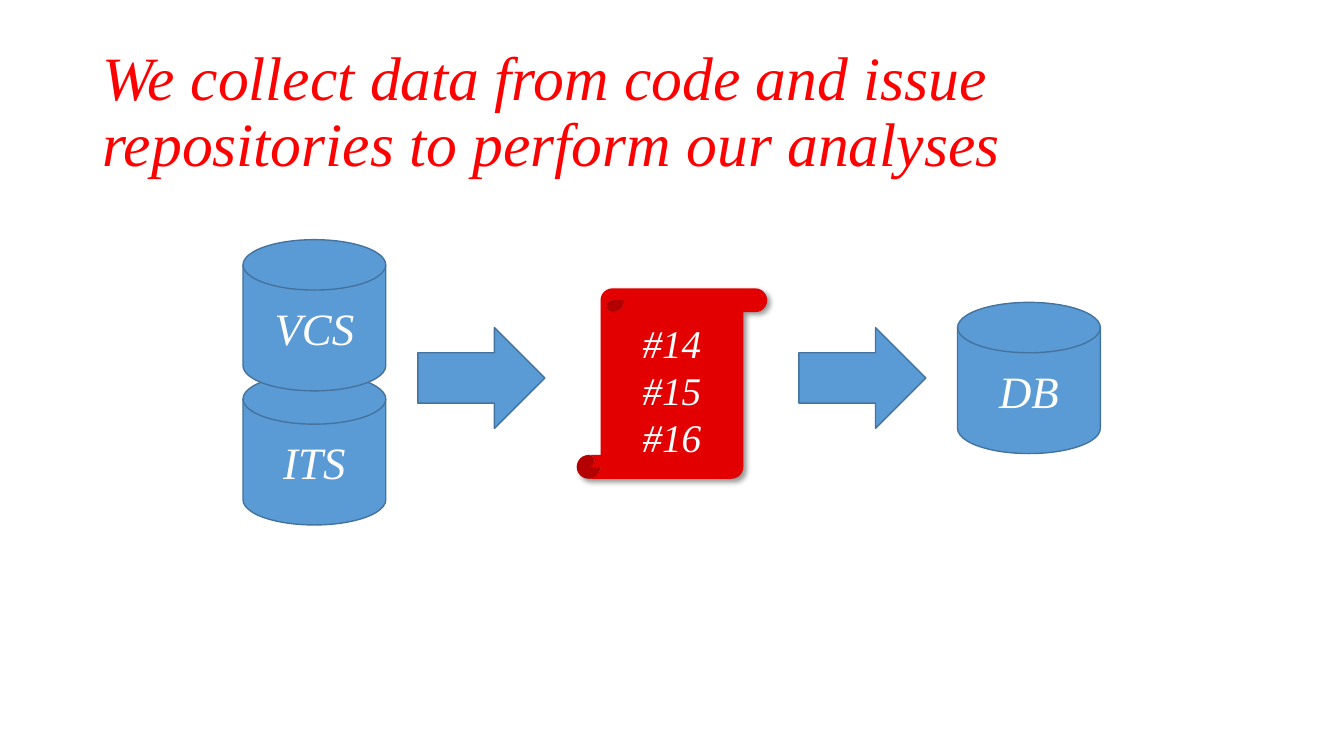
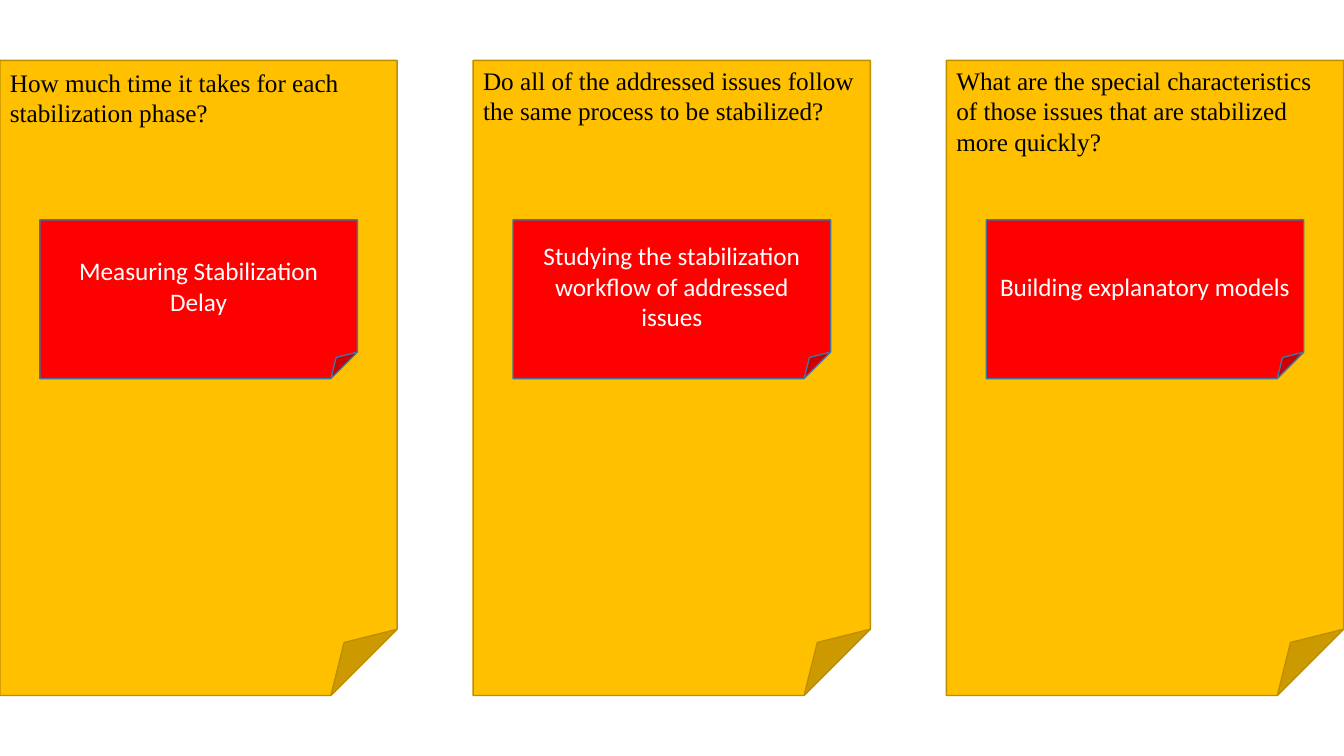
from lxml.etree import SubElement
from pptx import Presentation
from pptx.dml.color import RGBColor
from pptx.enum.shapes import MSO_SHAPE
from pptx.enum.text import MSO_ANCHOR, PP_ALIGN
from pptx.oxml.ns import qn
from pptx.util import Pt

SERIF, SANS = "Times New Roman", "Calibri"
RED, WHITE, BLACK = "FF0000", "FFFFFF", "000000"
BLUE, BLUE_EDGE = "5B9BD5", "43739E"
SCROLL_RED = "E20000"
GOLD, GOLD_EDGE = "FFC000", "BD8E00"

COLUMN_PITCH, COLUMN_WIDTH = 338, 283.7
NOTE_WIDTH = 226.8
COLUMNS = [
    ("How much time it takes for each stabilization phase?", 44.7,
     "Measuring Stabilization Delay"),
    ("Do all of the addressed issues follow the same process to be stabilized?", 43.2,
     "Studying the stabilization workflow of addressed issues"),
    ("What are the special characteristics of those issues that are stabilized more quickly?",
     43.2, "Building explanatory models"),
]


def rgb(value):
    """Turn a hex string into a colour."""
    return RGBColor.from_string(value)


def write(frame, lines, size, font, color, italic=False, align=PP_ALIGN.LEFT,
          anchor=MSO_ANCHOR.TOP, spacing=None):
    """Fill a text frame with evenly styled paragraphs."""
    frame.word_wrap = True
    frame.vertical_anchor = anchor
    frame.text = "\n".join(lines)
    for paragraph in frame.paragraphs:
        paragraph.alignment = align
        paragraph.line_spacing = spacing
        paragraph.font.size = Pt(size)
        paragraph.font.name = font
        paragraph.font.italic = italic
        paragraph.font.color.rgb = rgb(color)


def add_text(slide, box, text, size, color, **style):
    """Add a serif text box."""
    frame = slide.shapes.add_textbox(*map(Pt, box)).text_frame
    write(frame, [text], size, SERIF, color, **style)


def add_figure(slide, preset, box, fill, edge=None):
    """Add a flat preset shape, outlined if an edge colour is given."""
    figure = slide.shapes.add_shape(preset, *map(Pt, box))
    figure.shadow.inherit = False
    figure.fill.solid()
    figure.fill.fore_color.rgb = rgb(fill)
    if edge:
        figure.line.color.rgb = rgb(edge)
        figure.line.width = Pt(1)
    else:
        figure.line.fill.background()
    return figure


def label(figure, lines, size, font, italic=False):
    """Write centred white text in a shape."""
    write(figure.text_frame, lines, size, font, WHITE, italic,
          PP_ALIGN.CENTER, MSO_ANCHOR.MIDDLE)


def add_store(slide, left, top, name):
    """Add a cylinder that stands for a data store."""
    store = add_figure(slide, MSO_SHAPE.FLOWCHART_MAGNETIC_DISK,
                       (left, top, 102, 108), BLUE, BLUE_EDGE)
    label(store, [name], 32, SERIF, italic=True)


def add_step_arrow(slide, left):
    """Add a block arrow between two stages."""
    add_figure(slide, MSO_SHAPE.RIGHT_ARROW, (left, 234, 90.7, 72), BLUE, BLUE_EDGE)


def cast_shadow(figure):
    """Give a shape a soft shadow towards the lower right."""
    effects = figure._element.spPr.find(qn("a:effectLst"))
    shadow = SubElement(effects, qn("a:outerShdw"), blurRad=str(Pt(4)),
                        dist=str(Pt(3)), dir=str(45 * 60000), algn="tl", rotWithShape="0")
    tint = SubElement(shadow, qn("a:srgbClr"), val=BLACK)
    SubElement(tint, qn("a:alpha"), val="40000")


def add_issue_scroll(slide):
    """Add the scroll that lists the issue numbers."""
    scroll = add_figure(slide, MSO_SHAPE.VERTICAL_SCROLL, (412, 206, 136, 136), SCROLL_RED)
    cast_shadow(scroll)
    label(scroll, ["#14", "#15", "#16"], 28, SERIF, italic=True)


def build_collection(slide):
    """Show the way from the repositories to the database."""
    add_text(slide, (66, 28.75, 828, 104.4),
             "We collect data from code and issue repositories to perform our analyses",
             44, RED, italic=True, anchor=MSO_ANCHOR.MIDDLE, spacing=0.9)
    add_store(slide, 173.6, 267, "ITS")
    add_store(slide, 173.6, 171.2, "VCS")
    add_step_arrow(slide, 298.5)
    add_issue_scroll(slide)
    add_step_arrow(slide, 570.7)
    add_store(slide, 684, 216, "DB")


def add_column(slide, left, question, question_top, answer):
    """Add a gold sheet with a question and a red note with its answer."""
    add_figure(slide, MSO_SHAPE.FOLDED_CORNER, (left, 43.2, COLUMN_WIDTH, 453.6),
               GOLD, GOLD_EDGE)
    add_text(slide, (left, question_top, COLUMN_WIDTH, 51), question, 18, BLACK)
    note_left = left + (COLUMN_WIDTH - NOTE_WIDTH) / 2
    note = add_figure(slide, MSO_SHAPE.FOLDED_CORNER,
                      (note_left, 157, NOTE_WIDTH, 113.4), RED, BLUE_EDGE)
    label(note, [answer], 18, SANS)


def build_questions(slide):
    """Set the research questions side by side."""
    for index, column in enumerate(COLUMNS):
        add_column(slide, index * COLUMN_PITCH, *column)


def main():
    """Build and save the presentation."""
    deck = Presentation()
    deck.slide_width, deck.slide_height = Pt(960), Pt(540)
    for build in (build_collection, build_questions):
        build(deck.slides.add_slide(deck.slide_layouts[6]))
    deck.save("out.pptx")


if __name__ == "__main__":
    main()
